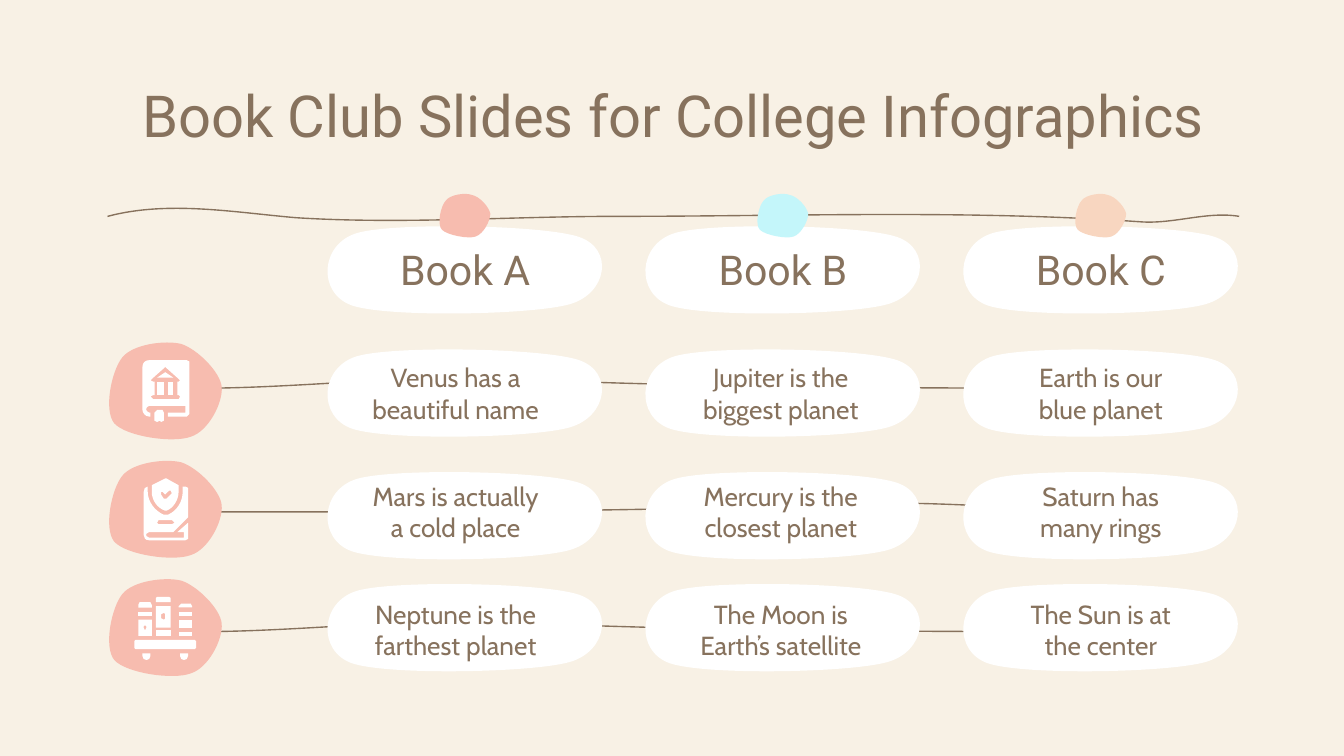
from dataclasses import dataclass

from lxml.etree import SubElement
from pptx import Presentation
from pptx.dml.color import RGBColor
from pptx.enum.text import PP_ALIGN
from pptx.oxml.ns import qn
from pptx.shapes.shapetree import GroupShapes, SlideShapes
from pptx.slide import Slide
from pptx.util import Pt

Point = tuple[float, float]
Command = tuple[str, list[Point]]


@dataclass(frozen=True)
class Theme:
    background: str = "F8F1E5"
    ink: str = "87725D"
    white: str = "FFFFFF"
    pink: str = "F7BCAF"
    blue: str = "C4F6FA"
    peach: str = "F8D6C0"
    heading_font: str = "Roboto"
    body_font: str = "Cabin"
    title_size: float = 31
    label_size: float = 22
    body_size: float = 14
    line_width: float = 0.75


@dataclass(frozen=True)
class Column:
    label: str
    dot_color: str
    text_left: float
    text_width: float


@dataclass(frozen=True)
class Row:
    facts: tuple[str, str, str]
    pill_top: float
    thread_top: float
    thread: str
    icon: tuple[str, ...]


THEME = Theme()
OUTLINE_UNIT = 0.72  # points per unit in the outlines below
COLUMN_STEP = 170.3
ROW_STEP = 63.4
COMMANDS = {"M": ("a:moveTo", 1), "L": ("a:lnTo", 1), "C": ("a:cubicBezTo", 3), "Z": ("a:close", 0)}

TOP_STRING = "M 0 6 C 45 -6 94 3 140 7 C 219 12 299 6 378 6 C 508 6 639 1 768 10 C 793 12 818 2 842 6"
THREAD = "M 0 7 C 75 7 151 -3 226 0 C 385 7 545 7 705 7"
MIRRORED_THREAD = "M 705 6 C 630 6 555 -3 480 0 C 320 6 160 6 0 6"
PILL = ("M 18 59 C 45 68 152 66 180 58 C 208 50 213 17 187 8 "
        "C 161 -1 50 -3 22 5 C -6 13 -8 50 18 59 Z")
DOT = ("M 5 5 C 1 9 -2 23 2 27 C 6 31 22 34 27 32 C 33 30 38 20 38 15 "
       "C 37 10 30 2 24 1 C 19 -1 8 1 5 5 Z")
BADGE = ("M 10 11 C 2 21 -4 50 4 60 C 13 70 48 75 61 70 C 74 66 85 45 84 33 "
         "C 83 22 66 5 54 1 C 42 -2 18 1 10 11 Z")


def box(left: int, top: int, right: int, bottom: int) -> str:
    """Outline of a rectangle."""
    return f"M {left} {top} L {right} {top} L {right} {bottom} L {left} {bottom} Z"


HISTORY_BOOK = (
    "M 36 50 L 34 52 L 34 58 L 36 59 L 38 58 L 39 59 L 41 58 L 41 52 L 40 50 Z",
    "M 42 22 L 36 26 L 48 26 Z",
    box(36, 29, 41, 39),
    box(44, 29, 48, 39),
    "M 42 18 L 43 19 L 52 27 L 53 28 L 52 29 L 51 29 L 51 39 L 52 39 L 53 40 L 52 42 L 33 42 "
    "L 31 40 L 33 39 L 34 39 L 34 29 L 33 29 L 31 28 L 32 27 L 41 19 Z "
    "M 30 13 C 27 13 25 15 25 18 L 25 50 C 25 52 27 55 30 55 L 31 55 L 31 52 L 30 52 "
    "C 27 51 27 48 30 47 L 57 47 L 57 52 L 44 52 L 44 55 L 58 55 L 60 53 L 60 14 L 58 13 Z",
)
SHIELD_BOOK = (
    "M 47 44 L 49 46 L 47 47 L 37 47 L 36 46 L 37 44 Z "
    "M 55 19 L 55 23 C 55 30 51 37 44 40 L 41 40 C 34 37 29 30 29 23 L 29 19 "
    "C 27 19 26 21 26 23 L 26 55 C 26 57 27 59 30 59 L 57 59 L 59 58 L 59 46 L 51 53 L 56 53 "
    "L 56 57 L 30 57 C 27 56 27 54 30 53 L 48 53 L 59 42 L 59 20 L 57 19 Z",
    "M 46 22 L 47 24 L 43 28 L 41 28 L 39 25 L 39 23 L 40 23 L 42 25 L 45 22 Z "
    "M 42 13 L 32 18 L 32 23 C 32 29 36 35 42 37 L 43 37 C 48 35 52 29 52 23 L 52 18 L 43 13 Z",
)
BOOKSHELF = (
    "M 20 45 L 19 46 L 19 51 L 20 52 L 64 52 L 65 51 L 65 46 L 64 45 Z",
    "M 25 55 L 25 57 C 25 61 31 61 31 57 L 31 55 Z",
    "M 53 55 L 53 57 C 53 61 59 61 59 57 L 59 55 Z",
    "M 23 17 L 22 19 L 22 21 L 32 21 L 32 19 L 31 17 Z",
    box(22, 24, 32, 27),
    "M 27 34 L 28 35 L 28 36 L 27 38 L 26 36 L 26 35 Z " + box(22, 30, 32, 42),
    "M 36 13 L 35 14 L 35 17 L 46 17 L 46 14 L 45 13 Z",
    "M 41 25 L 42 26 L 42 29 L 41 30 L 39 29 L 39 26 Z " + box(35, 20, 46, 36),
    box(35, 38, 46, 42),
    "M 54 18 L 52 20 L 52 21 L 62 21 L 62 20 L 61 18 Z",
    box(52, 24, 62, 27),
    box(52, 30, 62, 36),
    box(52, 39, 62, 42),
)
COLUMNS = (
    Column("Book A", THEME.pink, 190.8, 106.6),
    Column("Book B", THEME.blue, 365, 106.6),
    Column("Book C", THEME.peach, 538.6, 102.2),
)
ROWS = (
    Row(("Venus has a beautiful name", "Jupiter is the biggest planet", "Earth is our blue planet"),
        187.2, 203, THREAD, HISTORY_BOOK),
    Row(("Mars is actually a cold place", "Mercury is the closest planet", "Saturn has many rings"),
        252.9, 270, MIRRORED_THREAD, SHIELD_BOOK),
    Row(("Neptune is the farthest planet", "The Moon is Earth’s satellite", "The Sun is at the center"),
        312.9, 333.4, THREAD, BOOKSHELF),
)


def read_commands(outline: str, left: float, top: float) -> list[Command]:
    tokens = iter(outline.split())
    return [(COMMANDS[letter][0], [(left + float(next(tokens)) * OUTLINE_UNIT,
                                    top + float(next(tokens)) * OUTLINE_UNIT)
                                   for _ in range(COMMANDS[letter][1])])
            for letter in tokens]


def points_along(commands: list[Command]) -> list[Point]:
    """Points on the outline, close enough together to find its bounds."""
    points: list[Point] = []
    for _, ends in commands:
        if len(ends) == 3:
            curve = [points[-1], *ends]
            for t in (step / 20 for step in range(1, 20)):
                weights = ((1 - t) ** 3, 3 * t * (1 - t) ** 2, 3 * t * t * (1 - t), t ** 3)
                points.append((sum(w * x for w, (x, _) in zip(weights, curve)),
                               sum(w * y for w, (_, y) in zip(weights, curve))))
        points.extend(ends[-1:])
    return points


def draw_outline(shapes: SlideShapes | GroupShapes, outline: str, left: float, top: float,
                 color: str) -> None:
    """Fill a closed outline, or stroke an open one, with true curves."""
    commands = read_commands(outline, left, top)
    across, down = zip(*points_along(commands))
    builder = shapes.build_freeform(Pt(min(across)), Pt(min(down)))
    builder.add_line_segments([(Pt(max(across)), Pt(max(down)))], close=False)
    shape = builder.convert_to_shape()
    geometry = shape.element.find(".//" + qn("a:path"))
    for segment in list(geometry):
        geometry.remove(segment)
    for tag, points in commands:
        segment = SubElement(geometry, qn(tag))
        for x, y in points:
            SubElement(segment, qn("a:pt"), x=str(Pt(x - min(across))), y=str(Pt(y - min(down))))
    shape.shadow.inherit = False
    if outline.endswith("Z"):
        shape.fill.solid()
        shape.fill.fore_color.rgb = RGBColor.from_string(color)
        shape.line.fill.background()
    else:
        shape.fill.background()
        shape.line.color.rgb = RGBColor.from_string(color)
        shape.line.width = Pt(THEME.line_width)


def add_text(slide: Slide, text: str, *, left: float, top: float, width: float, height: float,
             size: float, font: str) -> None:
    frame = slide.shapes.add_textbox(Pt(left), Pt(top), Pt(width), Pt(height)).text_frame
    frame.word_wrap = True
    frame.margin_left = frame.margin_right = frame.margin_top = frame.margin_bottom = Pt(7.2)
    frame.paragraphs[0].alignment = PP_ALIGN.CENTER
    run = frame.paragraphs[0].add_run()
    run.text = text
    run.font.size, run.font.name = Pt(size), font
    run.font.color.rgb = RGBColor.from_string(THEME.ink)


def draw_header(slide: Slide) -> None:
    add_text(slide, "Book Club Slides for College Infographics", left=56.9, top=35.3, width=607,
             height=45.4, size=THEME.title_size, font=THEME.heading_font)
    draw_outline(slide.shapes, TOP_STRING, 57.6, 111.6, THEME.ink)
    for index, column in enumerate(COLUMNS):
        offset = index * COLUMN_STEP
        draw_outline(slide.shapes, PILL, 175.7 + offset, 121.2, THEME.white)
        add_text(slide, column.label, left=180 + offset, top=123.8, width=138.2, height=41.8,
                 size=THEME.label_size, font=THEME.heading_font)
        draw_outline(slide.shapes, DOT, 235.4 + offset, 103.7, column.dot_color)


def draw_row(slide: Slide, row: Row, offset: float) -> None:
    draw_outline(slide.shapes, row.thread, 106.6, row.thread_top, THEME.ink)
    for index, (column, fact) in enumerate(zip(COLUMNS, row.facts)):
        draw_outline(slide.shapes, PILL, 175.7 + index * COLUMN_STEP, row.pill_top, THEME.white)
        add_text(slide, fact, left=column.text_left, top=186.5 + offset, width=column.text_width,
                 height=46, size=THEME.body_size, font=THEME.body_font)
    draw_outline(slide.shapes, BADGE, 58.3, 183.6 + offset, THEME.pink)
    icon = slide.shapes.add_group_shape()
    for outline in row.icon:
        draw_outline(icon.shapes, outline, 58.3, 183.6 + offset, THEME.white)


presentation = Presentation()
presentation.slide_width, presentation.slide_height = Pt(720), Pt(405)
book_slide = presentation.slides.add_slide(presentation.slide_layouts[6])
book_slide.background.fill.solid()
book_slide.background.fill.fore_color.rgb = RGBColor.from_string(THEME.background)
draw_header(book_slide)
for row_index, book_row in enumerate(ROWS):
    draw_row(book_slide, book_row, row_index * ROW_STEP)
presentation.save("out.pptx")
